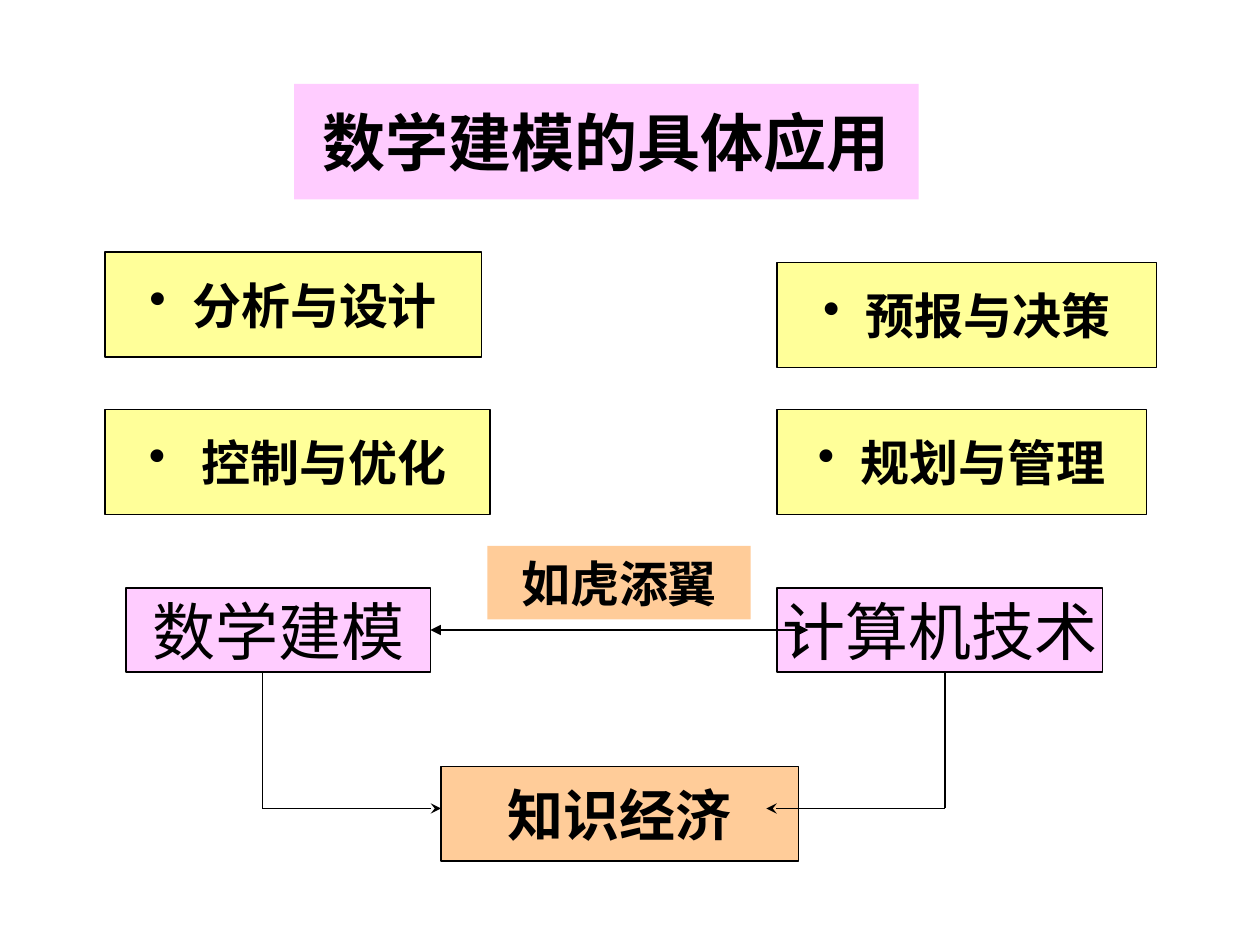
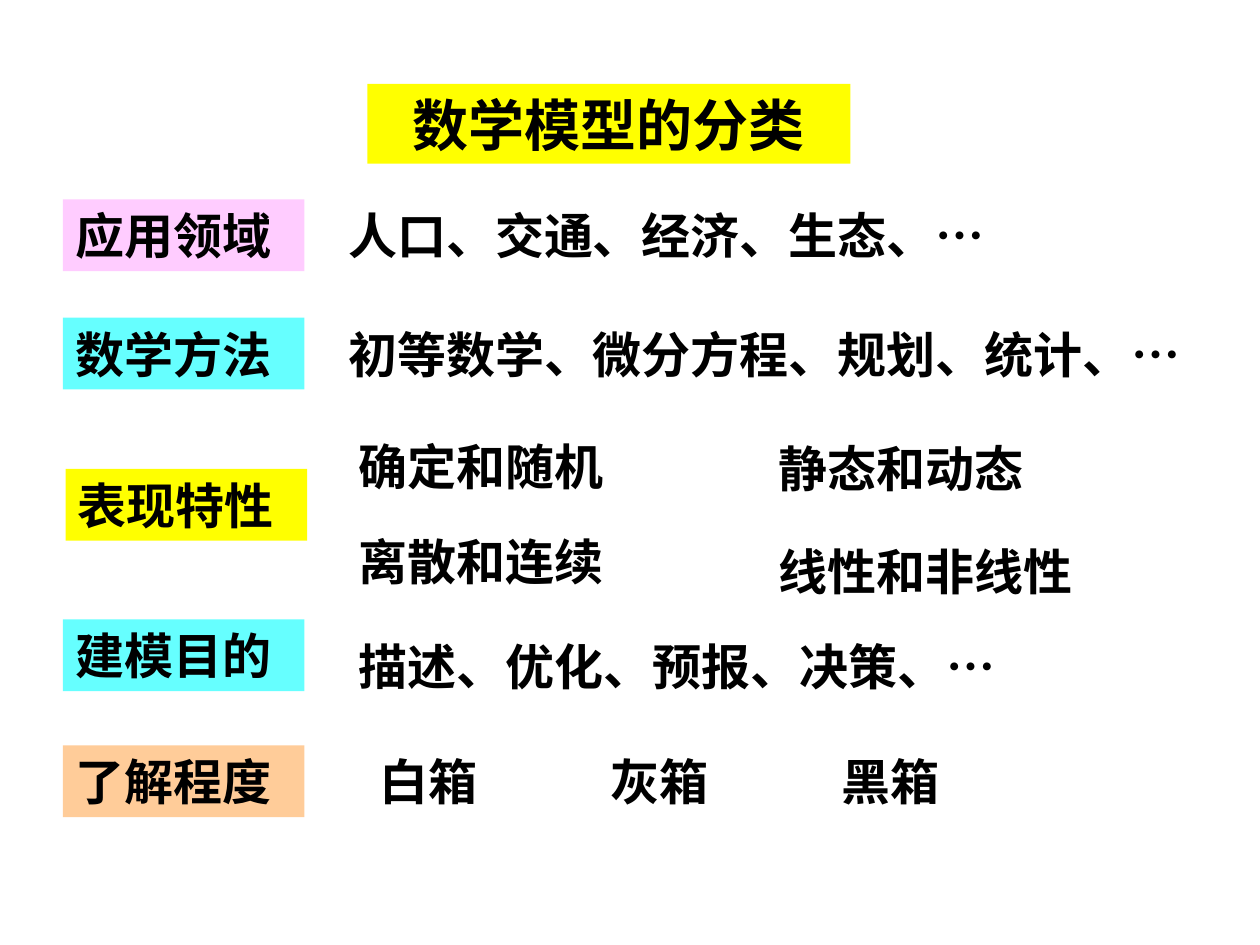
from dataclasses import dataclass

from lxml.etree import SubElement
from pptx import Presentation
from pptx.dml.color import RGBColor
from pptx.enum.shapes import MSO_CONNECTOR, MSO_SHAPE
from pptx.enum.text import MSO_ANCHOR, MSO_AUTO_SIZE, PP_ALIGN
from pptx.oxml.ns import qn
from pptx.util import Pt


@dataclass(frozen=True)
class Theme:
    """Colours, type sizes and fonts shared by the slides."""

    ink: str = "000000"
    pink: str = "FFCCFF"
    cream: str = "FFFF99"
    orange: str = "FFCC99"
    yellow: str = "FFFF00"
    cyan: str = "66FFFF"
    large: int = 36
    medium: int = 32
    normal: int = 28
    latin: str = "Times New Roman"
    chinese: str = "Noto Sans CJK SC"
    rule: float = 0.75
    inset: float = 7.2


THEME = Theme()

APPLICATIONS = [
    ("分析与设计", 0, 0, 215, 24.5),
    ("预报与决策", 384, 6, 217, 24.5),
    ("控制与优化", 0, 90, 220, 30),
    ("规划与管理", 384, 90, 211, 24.5),
]

CLASSES = [
    ("应用领域", THEME.pink, 0, 0, [("人口、交通、经济、生态、…", 156, 0, 402)]),
    ("数学方法", THEME.cyan, 0, 67.5, [("初等数学、微分方程、规划、统计、…", 156, 0, 498)]),
    ("表现特性", THEME.yellow, 1.5, 154, [
        ("确定和随机", 160.5, -22, 156),
        ("静态和动态", 400.5, -21, 156),
        ("离散和连续", 160.5, 32, 156),
        ("线性和非线性", 400.5, 38, 192),
    ]),
    ("建模目的", THEME.cyan, 0, 240, [("描述、优化、预报、决策、…", 162, 6, 486)]),
    ("了解程度", THEME.orange, 0, 312, [
        (shade, 174 + 132 * i, 0, 78) for i, shade in enumerate(("白箱", "灰箱", "黑箱"))
    ]),
]


def write(shape, text, size, bold=True, align=PP_ALIGN.CENTER, inset=0.0, gap=None):
    """Put one vertically centred line in a shape, bulleted when a gap is given."""
    frame = shape.text_frame
    settings = {
        "word_wrap": True, "auto_size": MSO_AUTO_SIZE.NONE,
        "vertical_anchor": MSO_ANCHOR.MIDDLE,
        "margin_left": Pt(inset), "margin_right": Pt(inset),
        "margin_top": 0, "margin_bottom": 0,
    }
    for key, value in settings.items():
        setattr(frame, key, value)
    paragraph = frame.paragraphs[0]
    paragraph.alignment = align
    if gap is not None:
        properties = paragraph._p.get_or_add_pPr()
        properties.set("marL", str(Pt(gap)))
        properties.set("indent", str(-Pt(gap)))
        SubElement(properties, qn("a:buChar")).set("char", "•")
    run = paragraph.add_run()
    run.text = text
    for key, value in {"size": Pt(size), "bold": bold, "name": THEME.latin}.items():
        setattr(run.font, key, value)
    run.font.color.rgb = RGBColor.from_string(THEME.ink)
    SubElement(run._r.get_or_add_rPr(), qn("a:ea")).set("typeface", THEME.chinese)


def paint(shape, fill):
    """Fill a shape with a plain colour."""
    shape.fill.solid()
    shape.fill.fore_color.rgb = RGBColor.from_string(fill)


def add_title(slide, box, text, fill, size):
    """Move the title placeholder to the box and colour it."""
    title = slide.shapes.title
    for key, value in zip(("left", "top", "width", "height"), box):
        setattr(title, key, Pt(value))
    paint(title, fill)
    write(title, text, size)


def add_panel(slide, box, text, fill, size, outlined=True, **style):
    """Add a coloured rectangle holding one line of text."""
    panel = slide.shapes.add_shape(MSO_SHAPE.RECTANGLE, *map(Pt, box))
    panel.shadow.inherit = False
    paint(panel, fill)
    if outlined:
        panel.line.color.rgb = RGBColor.from_string(THEME.ink)
        panel.line.width = Pt(THEME.rule)
    else:
        panel.line.fill.background()
    write(panel, text, size, **style)


def add_line(slide, start, end, **arrowheads):
    """Draw a thin straight line with optional headEnd and tailEnd arrowheads."""
    line = slide.shapes.add_connector(MSO_CONNECTOR.STRAIGHT, *map(Pt, (*start, *end)))
    line.line.color.rgb = RGBColor.from_string(THEME.ink)
    line.line.width = Pt(THEME.rule)
    for place, kind in arrowheads.items():
        SubElement(line.line._get_or_add_ln(), qn(f"a:{place}")).set("type", kind)
    SubElement(line._element.spPr, qn("a:effectLst"))


def add_applications(slide, left, top):
    """Place the four bulleted application fields."""
    for text, dx, dy, width, gap in APPLICATIONS:
        add_panel(slide, (left + dx, top + dy, width, 60), text, THEME.cream,
                  THEME.normal, gap=gap)


def add_economy_flow(slide, left, top):
    """Show modelling and computing leading together to the knowledge economy."""
    for text, dx, width in (("数学建模", 0, 174), ("计算机技术", 372, 186)):
        add_panel(slide, (left + dx, top + 24, width, 48), text, THEME.pink,
                  THEME.large, bold=False)
    add_panel(slide, (left + 180, top + 126, 204.5, 54), "知识经济", THEME.orange,
              THEME.medium)
    for source, target in ((78, 180), (468, 366)):
        corner = (left + source, top + 150)
        add_line(slide, (left + source, top + 72), corner)
        add_line(slide, corner, (left + target, top + 150), tailEnd="stealth")
    add_line(slide, (left + 174, top + 48), (left + 390, top + 48),
             headEnd="triangle", tailEnd="triangle")
    add_panel(slide, (left + 206.5, top, 150.5, 42), "如虎添翼", THEME.orange,
              THEME.normal, outlined=False)


def add_classes(slide, left, top, height=41):
    """List each way of classifying models with its kinds beside it."""
    style = {"align": PP_ALIGN.LEFT, "inset": THEME.inset}
    for label, fill, dx, dy, kinds in CLASSES:
        x, y = left + dx, top + dy
        add_panel(slide, (x, y, 138, height), label, fill, THEME.normal,
                  outlined=False, **style)
        for kind, kind_dx, kind_dy, width in kinds:
            kind_box = slide.shapes.add_textbox(
                *map(Pt, (x + kind_dx, y + kind_dy, width, height)))
            write(kind_box, kind, THEME.normal, **style)


def main():
    """Build both slides and save the presentation."""
    deck = Presentation()
    deck.slide_width, deck.slide_height = Pt(720), Pt(540)
    title_only = deck.slide_layouts[5]

    applications = deck.slides.add_slide(title_only)
    add_title(applications, (168, 48, 357, 66), "数学建模的具体应用", THEME.pink, THEME.large)
    add_applications(applications, 60, 144)
    add_economy_flow(applications, 72, 312)

    classes = deck.slides.add_slide(title_only)
    add_title(classes, (210, 48, 276, 45.5), "数学模型的分类", THEME.yellow, THEME.medium)
    add_classes(classes, 36, 114)

    deck.save("out.pptx")


if __name__ == "__main__":
    main()
